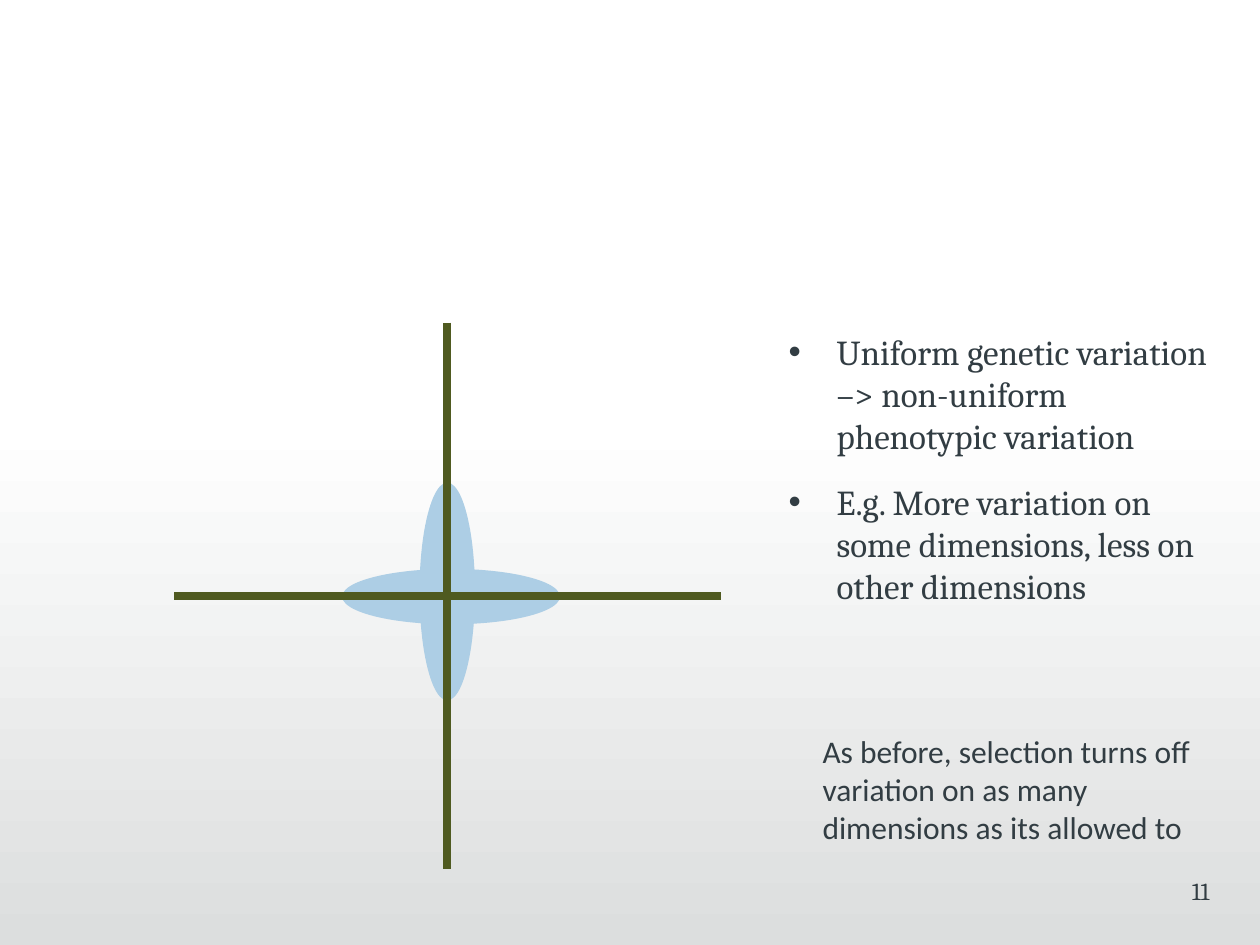
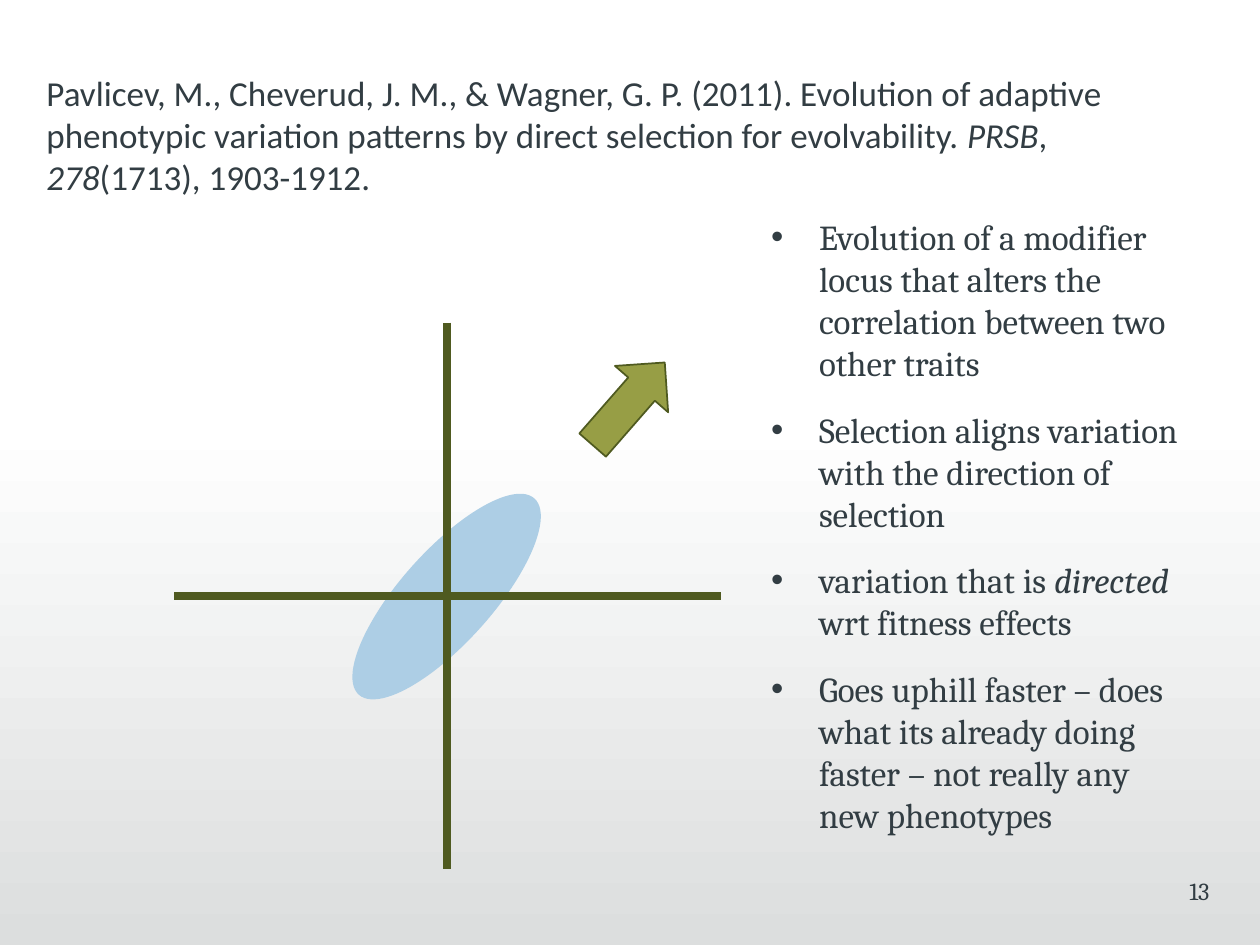
import pptx
import pptx.dml.color
import pptx.enum.shapes
import pptx.enum.text
import pptx.util
from lxml import etree

Inches = pptx.util.Inches
Pt = pptx.util.Pt
RGB = pptx.dml.color.RGBColor.from_string
SHAPE = pptx.enum.shapes.MSO_SHAPE
ALIGN = pptx.enum.text.PP_ALIGN
NS = "{http://schemas.openxmlformats.org/drawingml/2006/main}"

COLORS = {"text": "323D43", "axis": "4F5A20", "arrow": "979E45",
          "cloud": "ADCEE5", "top": "FFFFFF", "bottom": "DCDEDE"}


def write(tf, paragraphs, size=20, font="Calibri", align=ALIGN.LEFT,
          after=0, indent=0, bullet=False, insets=(0.1, 0.1)):
    """Fill a text frame; *stars* enclose italic words."""
    tf.word_wrap = True
    tf.auto_size = pptx.enum.text.MSO_AUTO_SIZE.NONE
    tf.vertical_anchor = pptx.enum.text.MSO_ANCHOR.TOP
    tf.margin_left, tf.margin_right = [Inches(x) for x in insets]
    tf.margin_top = tf.margin_bottom = Inches(0.05)
    for i, text in enumerate(paragraphs):
        p = tf.paragraphs[0] if i == 0 else tf.add_paragraph()
        pPr = p._p.get_or_add_pPr()
        pPr.set("marL", str(Inches(indent)))
        pPr.set("indent", str(Inches(-indent if bullet else 0)))
        if bullet:
            etree.SubElement(pPr, NS + "buFont").set("typeface", "Arial")
            etree.SubElement(pPr, NS + "buChar").set("char", "•")
        p.alignment = align
        p.space_before = Pt(0)
        p.space_after = Pt(after)
        for j, part in enumerate(text.split("*")):
            if part:
                r = p.add_run()
                r.text = part
                r.font.name = font
                r.font.size = Pt(size)
                r.font.italic = j % 2 == 1
                r.font.color.rgb = RGB(COLORS["text"])


def add_shape(s, kind, box, color, rotation=0, line=None):
    sp = s.shapes.add_shape(kind, *[Inches(x) for x in box])
    sp.shadow.inherit = False
    sp.rotation = rotation
    sp.fill.solid()
    sp.fill.fore_color.rgb = RGB(COLORS[color])
    if line:
        sp.line.color.rgb = RGB(COLORS[line])
        sp.line.width = Pt(1)
    else:
        sp.line.fill.background()
    return sp


prs = pptx.Presentation()
prs.slide_width, prs.slide_height = Inches(10), Inches(7.5)

slides = [
    {"number": "11",
     "list_at": (6.26, 2.57),
     "bullets": ["Uniform genetic variation –> non-uniform phenotypic variation",
                 "E.g. More variation on some dimensions, less on other dimensions"],
     "clouds": [((3.33, 3.83, 0.44, 1.73), 0), ((3.36, 3.87, 0.44, 1.73), 90)],
     "note": "As before, selection turns off variation on as many "
             "dimensions as its allowed to",
     "note_at": (5.93, 5.76, 3.74, 1.01),
     "note_format": {"size": 18, "indent": 0.5, "after": 6}},
    {"number": "13",
     "list_at": (6.12, 1.66),
     "bullets": ["Evolution of a modifier locus that alters the correlation "
                 "between two other traits",
                 "Selection aligns variation with the direction of selection",
                 "variation that is *directed *wrt fitness effects",
                 "Goes uphill faster – does what its already doing faster – "
                 "not really any new phenotypes"],
     "clouds": [((3.18, 3.69, 0.73, 2.09), 41.8)],
     "selection_arrow": ((4.71, 2.77, 0.56, 0.87), 41.1),
     "note": "Pavlicev, M., Cheverud, J. M., & Wagner, G. P. (2011). Evolution of "
             "adaptive phenotypic variation patterns by direct selection for "
             "evolvability. *PRSB*, *278*(1713), 1903-1912.",
     "note_at": (0.27, 0.52, 9.43, 1.11),
     "note_format": {"size": 20}},
]

# Trait axes cross at one centre
cx, cy, half = 3.55, 4.73, 2.17
axes = [(cx, cy - half, cx, cy + half), (cx + half, cy, cx - half, cy)]

for data in slides:
    s = prs.slides.add_slide(prs.slide_layouts[1])
    title, body = s.placeholders
    title.element.getparent().remove(title.element)

    # Shaded lower background, behind everything
    shade = add_shape(s, SHAPE.RECTANGLE, (0, 3.33, 10, 4.17), "top")
    shade.fill.gradient()
    shade.fill.gradient_angle = 270
    for stop, name, position in zip(shade.fill.gradient_stops, ("top", "bottom"), (0, 1)):
        stop.color.rgb = RGB(COLORS[name])
        stop.position = position
    body.element.addprevious(shade.element)

    # Bullet list
    body.left, body.top = [Inches(x) for x in data["list_at"]]
    body.width, body.height = Inches(3.46), Inches(4.5)
    write(body.text_frame, data["bullets"], font="Cambria", after=14,
          indent=0.38, bullet=True, insets=(0, 0.1))

    # Slide number
    tb = s.shapes.add_textbox(Inches(7.52), Inches(6.9), Inches(2.08), Inches(0.5))
    write(tb.text_frame, [data["number"]], size=14, font="Cambria",
          align=ALIGN.RIGHT, insets=(0.1, 0))

    # Variation clouds under the axes
    for box, rotation in data["clouds"]:
        add_shape(s, SHAPE.OVAL, box, "cloud", rotation)
    for ends in axes:
        axis = s.shapes.add_connector(pptx.enum.shapes.MSO_CONNECTOR.STRAIGHT,
                                      *[Inches(x) for x in ends])
        axis.line.color.rgb = RGB(COLORS["axis"])
        axis.line.width = Pt(4.5)
        etree.SubElement(axis.element.spPr, NS + "effectLst")

    # Direction of selection
    if "selection_arrow" in data:
        box, rotation = data["selection_arrow"]
        add_shape(s, SHAPE.UP_ARROW, box, "arrow", rotation, line="axis")

    # Note or reference
    tb = s.shapes.add_textbox(*[Inches(x) for x in data["note_at"]])
    write(tb.text_frame, [data["note"]], **data["note_format"])

prs.save("out.pptx")
